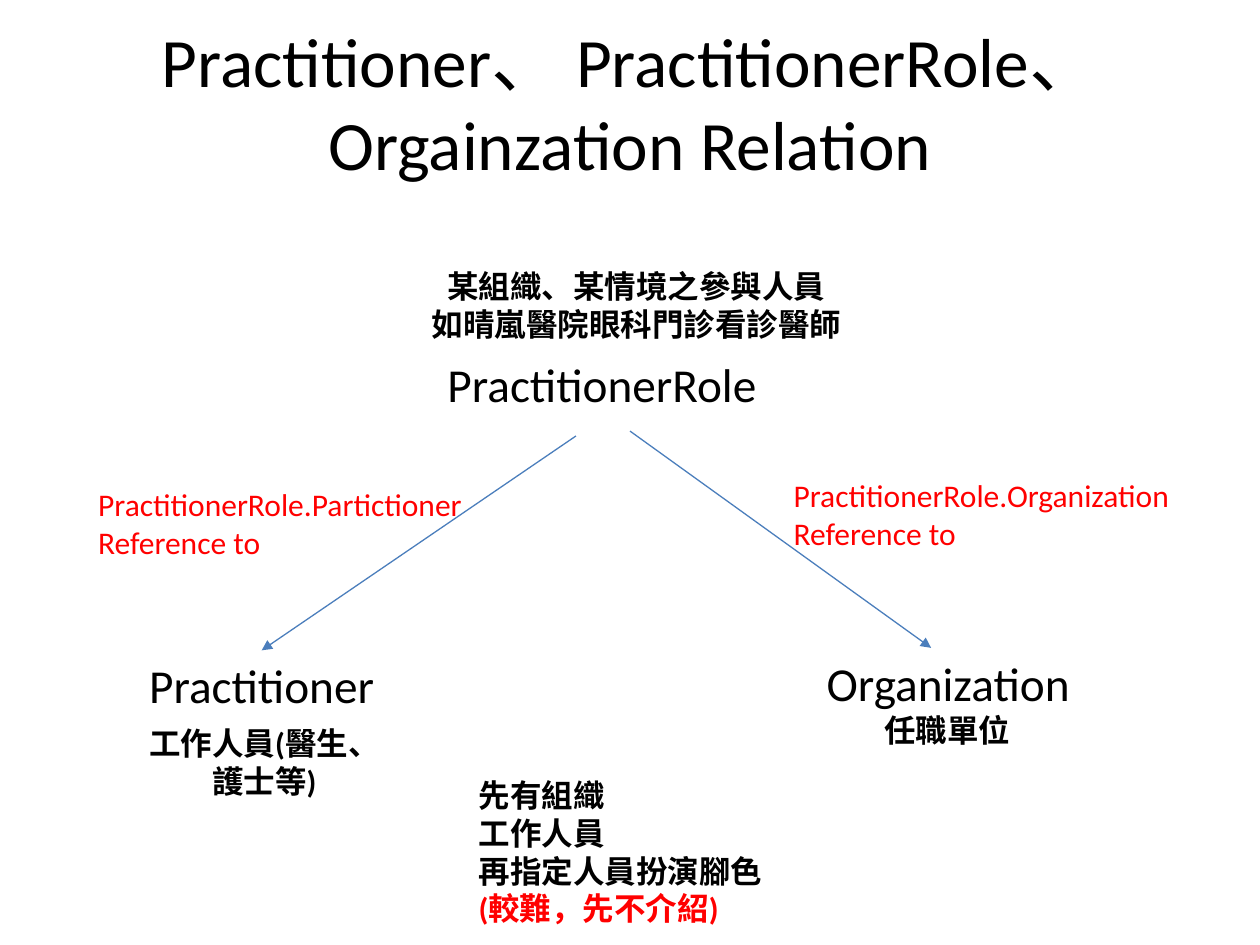
from dataclasses import dataclass

from lxml.etree import SubElement
from pptx import Presentation
from pptx.dml.color import RGBColor
from pptx.enum.shapes import MSO_CONNECTOR
from pptx.enum.text import MSO_ANCHOR, PP_ALIGN
from pptx.oxml.ns import qn
from pptx.util import Cm, Pt


@dataclass(frozen=True)
class Theme:
    font: str = "Calibri"
    title: float = 39.6
    resource: float = 27
    note: float = 18
    ink: str = "000000"
    accent: str = "FF0000"
    arrow: str = "4B7EBC"
    arrow_width: float = 0.75


THEME = Theme()
LEFT, CENTER = PP_ALIGN.LEFT, PP_ALIGN.CENTER

TITLE = "Practitioner、 PractitionerRole、Orgainzation Relation"
TITLE_BOX = (1.27, 0.46, 22.86, 3.18)

# Positions are left, top, width, height in cm
RESOURCES = {
    "Practitioner": (2.57, 13.11, 5.41, 1.42),
    "PractitionerRole": (8.53, 7.04, 7.21, 1.42),
    "Organization": (16.41, 13.06, 5.41, 1.42),
}
NOTES = [
    (["工作人員(醫生、護士等)"], (2.69, 14.48, 5.28, 1.8), CENTER),
    (["任職單位"], (17.58, 14.2, 4.09, 1.02), LEFT),
    (["某組織、某情境之參與人員", "如晴嵐醫院眼科門診看診醫師"],
     (7.04, 5.26, 11.58, 1.8), CENTER),
]
REFERENCES = [
    ("PractitionerRole.Partictioner", (1.73, 9.65, 7.92, 1.8)),
    ("PractitionerRole.Organization", (15.75, 9.47, 8.18, 1.8)),
]
STEPS = ["先有組織", "工作人員", "再指定人員扮演腳色", "(較難，先不介紹)"]
STEPS_BOX = (9.4, 15.52, 8.66, 3.33)

TO_PRACTITIONER = (11.61, 8.79, 5.26, 13.11)
TO_ORGANIZATION = (12.7, 8.69, 18.77, 13.06)


def style(p, size, color=THEME.ink, bold=False, align=LEFT):
    p.alignment = align
    p.font.name = THEME.font
    p.font.size = Pt(size)
    p.font.bold = bold
    p.font.color.rgb = RGBColor.from_string(color)


def add_text(slide, lines, box, size, wrap=True, **look):
    sp = slide.shapes.add_textbox(*map(Cm, box))
    tf = sp.text_frame
    tf.word_wrap = wrap
    tf.text = "\n".join(lines)
    for p in tf.paragraphs:
        style(p, size, **look)
    return sp


def add_arrow(slide, ends):
    line = slide.shapes.add_connector(MSO_CONNECTOR.STRAIGHT, *map(Cm, ends))
    line.line.color.rgb = RGBColor.from_string(THEME.arrow)
    line.line.width = Pt(THEME.arrow_width)
    SubElement(line.line._get_or_add_ln(), qn("a:tailEnd"), type="triangle")
    SubElement(line._element.spPr, qn("a:effectLst"))
    return line


def add_title(slide):
    sp = slide.shapes.title
    sp.left, sp.top, sp.width, sp.height = map(Cm, TITLE_BOX)
    tf = sp.text_frame
    tf.text = TITLE
    tf.word_wrap = True
    tf.vertical_anchor = MSO_ANCHOR.MIDDLE
    style(tf.paragraphs[0], THEME.title, align=CENTER)


def main():
    prs = Presentation()
    prs.slide_width, prs.slide_height = Cm(25.4), Cm(19.05)
    slide = prs.slides.add_slide(prs.slide_layouts[5])

    add_title(slide)
    resources = {
        name: add_text(slide, [name], box, THEME.resource, align=CENTER)
        for name, box in RESOURCES.items()
    }
    add_arrow(slide, TO_PRACTITIONER).end_connect(resources["Practitioner"], 0)
    add_arrow(slide, TO_ORGANIZATION)

    for lines, box, align in NOTES:
        add_text(slide, lines, box, THEME.note, bold=True, align=align)
    for field, box in REFERENCES:
        add_text(slide, [field, "Reference to"], box, THEME.note,
                 wrap=False, color=THEME.accent)

    steps = add_text(slide, STEPS, STEPS_BOX, THEME.note, bold=True)
    style(steps.text_frame.paragraphs[-1], THEME.note, THEME.accent, bold=True)

    prs.save("out.pptx")


if __name__ == "__main__":
    main()
